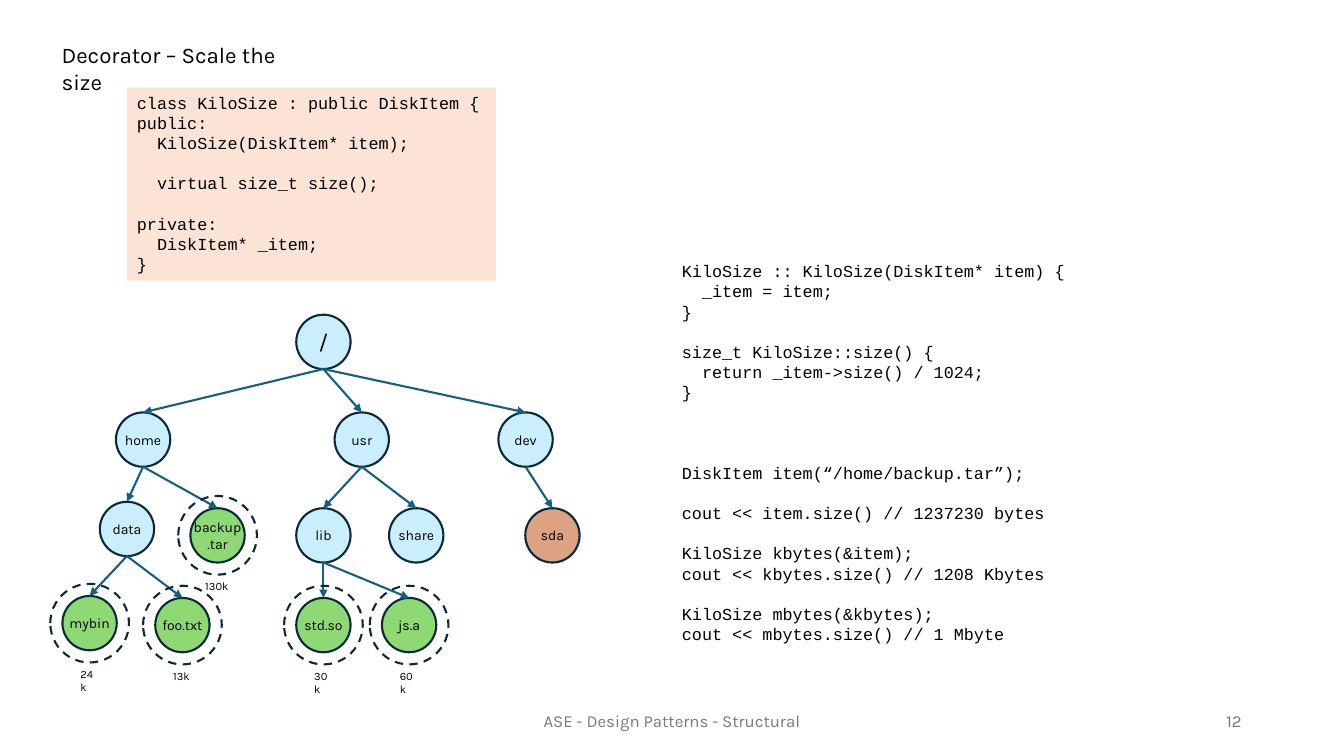
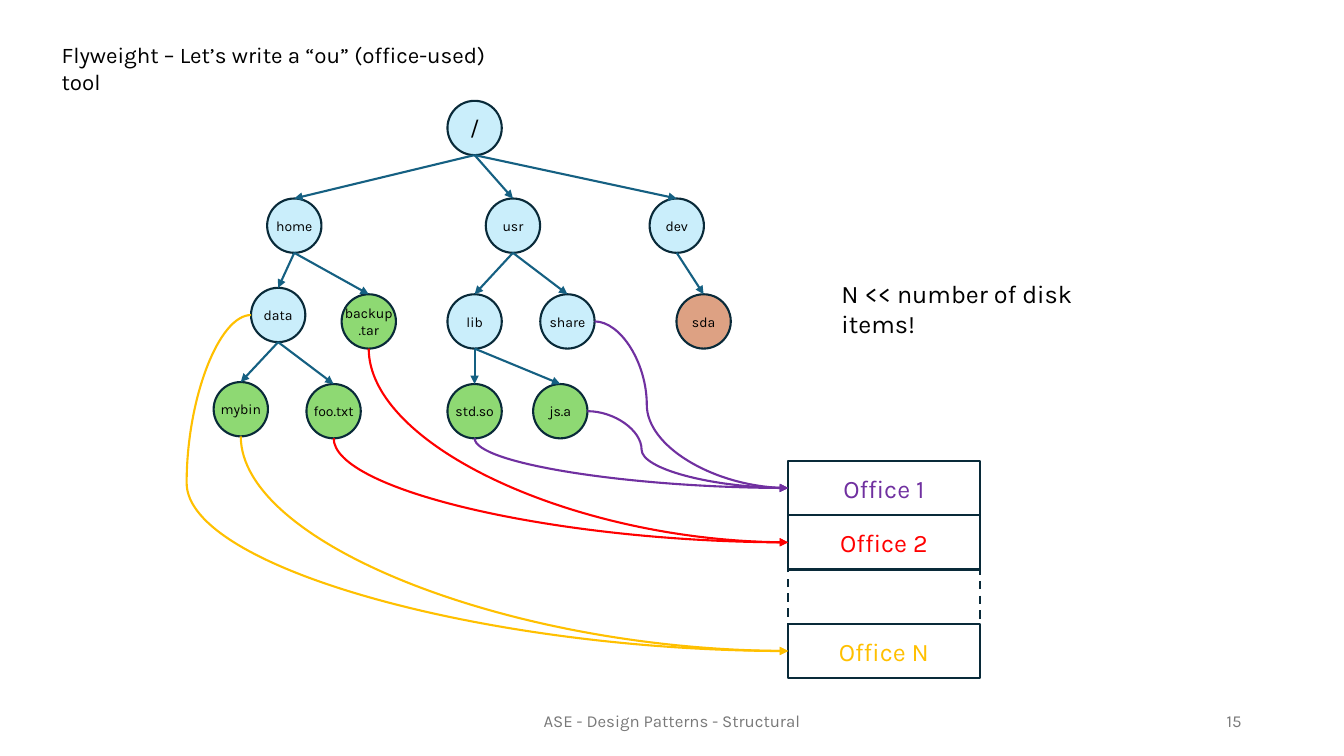
"""Build two slides on the decorator and flyweight patterns."""
import dataclasses

import lxml.etree
import pptx
import pptx.dml.color
import pptx.enum.dml
import pptx.enum.shapes
import pptx.enum.text
import pptx.oxml.ns
import pptx.util

Pt = pptx.util.Pt
Align = pptx.enum.text.PP_ALIGN
Anchor = pptx.enum.text.MSO_ANCHOR
Form = pptx.enum.shapes.MSO_SHAPE
Wire = pptx.enum.shapes.MSO_CONNECTOR
qn = pptx.oxml.ns.qn


@dataclasses.dataclass(frozen=True)
class Theme:
    """Colours, fonts and sizes that the slides share."""
    ink: str = "000000"
    edge: str = "092A39"
    arrow: str = "156082"
    grey: str = "797979"
    peach: str = "FBE3D6"
    folder: str = "CAEEFB"
    file: str = "8ED973"
    device: str = "C04F15"
    purple: str = "7030A0"
    red: str = "FF0000"
    gold: str = "FFC000"
    sans: str = "Karla"
    mono: str = "Courier New"
    head: float = 16
    large: float = 18
    code: float = 12
    foot: float = 12
    node: float = 10
    note: float = 8
    line: float = 1.5
    lead: float = 14.4


LOOK = Theme()
NODE = 38.8
RING = 56.2
SIDES = {"top": (0, 0.5, 0), "left": (1, 0, 0.5),
         "bottom": (2, 0.5, 1), "right": (3, 1, 0.5)}
TREE = {
    "/": (167, 0, None, "folder"),
    "home": (38.2, 69.8, "/", "folder"),
    "usr": (194.4, 69.8, "/", "folder"),
    "dev": (311.4, 69.8, "/", "folder"),
    "data": (26.7, 133.6, "home", "folder"),
    "backup\n.tar": (91.4, 138.2, "home", "file"),
    "mybin": (0, 200.9, "data", "file"),
    "foo.txt": (66.3, 202.3, "data", "file"),
    "lib": (167, 138.2, "usr", "folder"),
    "share": (233.3, 138.2, "usr", "folder"),
    "std.so": (167, 202.3, "lib", "file"),
    "js.a": (228.2, 202.3, "lib", "file"),
    "sda": (330.6, 138.2, "dev", "device"),
}
LOADS = {"backup\n.tar": "130k", "mybin": "24k", "foo.txt": "13k",
         "std.so": "30k", "js.a": "60k"}
CLASS = """class KiloSize : public DiskItem {
public:
  KiloSize(DiskItem* item);

  virtual size_t size();

private:
  DiskItem* _item;
}"""
USAGE = """KiloSize :: KiloSize(DiskItem* item) {
  _item = item;
}

size_t KiloSize::size() {
  return _item->size() / 1024;
}



DiskItem item(“/home/backup.tar”);

cout << item.size() // 1237230 bytes

KiloSize kbytes(&item);
cout << kbytes.size() // 1208 Kbytes

KiloSize mbytes(&kbytes);
cout << mbytes.size() // 1 Mbyte"""


def rgb(tint):
    """Return the colour of a hex string."""
    return pptx.dml.color.RGBColor.from_string(tint)


def style(frame, size, tint=LOOK.ink, face=LOOK.sans, align=Align.LEFT):
    """Format every run of a text frame."""
    for para in frame.paragraphs:
        para.alignment = align
        for run in para.runs:
            run.font.size = Pt(size)
            run.font.name = face
            run.font.color.rgb = rgb(tint)


def words(slide, box, text, size, tint=LOOK.ink, align=Align.LEFT,
          anchor=Anchor.TOP):
    """Place a wrapped text box."""
    frame = slide.shapes.add_textbox(*map(Pt, box)).text_frame
    frame.word_wrap = True
    frame.vertical_anchor = anchor
    frame.text = text
    style(frame, size, tint, align=align)


def shape(slide, form, box, fill=None, edge=LOOK.edge, dash=False):
    """Place a flat shape with an optional fill and outline."""
    item = slide.shapes.add_shape(form, *map(Pt, box))
    item.shadow.inherit = False
    if fill:
        item.fill.solid()
        item.fill.fore_color.rgb = rgb(fill)
    else:
        item.fill.background()
    if edge:
        item.line.color.rgb = rgb(edge)
        item.line.width = Pt(LOOK.line)
        if dash:
            item.line.dash_style = pptx.enum.dml.MSO_LINE.DASH
    else:
        item.line.fill.background()
    return item


def code(slide, box, text, fill=None):
    """Place a code listing with indents and gaps taken from its lines."""
    frame = shape(slide, Form.RECTANGLE, box, fill, None).text_frame
    frame.word_wrap = True
    frame.vertical_anchor = Anchor.TOP
    lines = text.split("\n")
    full = [row for row, line in enumerate(lines) if line]
    frame.text = "\n".join(lines[row].strip() for row in full)
    style(frame, LOOK.code, face=LOOK.mono)
    last = -1
    for para, row in zip(frame.paragraphs, full):
        depth = len(lines[row]) - len(lines[row].lstrip())
        para.line_spacing = Pt(LOOK.lead)
        para.space_before = Pt(LOOK.lead * (row - last - 1))
        para._p.get_or_add_pPr().set("marL", str(Pt(depth * LOOK.code * 0.6)))
        last = row


def site(item, side):
    """Return the index and point of a connection site."""
    index, across, down = SIDES[side]
    if item.auto_shape_type == Form.OVAL:
        index *= 2
    return (index, int(item.left + item.width * across),
            int(item.top + item.height * down))


def link(slide, start, exit, end, entry, tint, bend=0):
    """Join two shapes with a straight or curved arrow."""
    first, x1, y1 = site(start, exit)
    last, x2, y2 = site(end, entry)
    kind = Wire.STRAIGHT if entry == "top" else Wire.CURVE
    wire = slide.shapes.add_connector(kind, x1, y1, x2, y2)
    wire.line.color.rgb = rgb(tint)
    wire.line.width = Pt(LOOK.line)
    part = wire.element.spPr
    lxml.etree.SubElement(wire.get_or_add_ln(), qn("a:tailEnd"), type="triangle")
    lxml.etree.SubElement(part, qn("a:effectLst"))
    joint = next(wire.element.iter(qn("p:cNvCxnSpPr")))
    for tag, item, index in (("a:stCxn", start, first), ("a:endCxn", end, last)):
        lxml.etree.SubElement(joint, qn(tag), id=str(item.shape_id),
                              idx=str(index))
    if kind == Wire.CURVE:
        curve(wire, exit, x2 - x1, y2 - y1, bend)


def curve(wire, exit, wide, high, bend):
    """Turn a curved arrow so that it leaves by the given side."""
    part = wire.element.spPr
    frame = part.find(qn("a:xfrm"))
    preset = part.find(qn("a:prstGeom"))
    if exit == "bottom":
        preset.set("prst", "curvedConnector2")
        wire.left += (wide - high) // 2
        wire.top += (high - wide) // 2
        wire.width, wire.height = high, wide
        frame.set("rot", "16200000")
        frame.set("flipH", "1")
        return
    if exit == "left":
        frame.set("rot", "10800000")
        frame.set("flipH", "1")
        frame.set("flipV", "1")
    lxml.etree.SubElement(preset.find(qn("a:avLst")), qn("a:gd"), name="adj1",
                          fmla=f"val {round(bend * 100000)}")


def tree(slide, left, top):
    """Draw the disk tree and return its nodes by name."""
    nodes = {}
    for name, (x, y, _, kind) in TREE.items():
        node = shape(slide, Form.OVAL, (left + x, top + y, NODE, NODE),
                     getattr(LOOK, kind))
        if kind == "device":
            tone = next(node.element.spPr.iter(qn("a:srgbClr")))
            lxml.etree.SubElement(tone, qn("a:alpha"), val="53000")
        frame = node.text_frame
        frame.word_wrap = False
        frame.vertical_anchor = Anchor.MIDDLE
        frame.text = name
        style(frame, LOOK.head if name == "/" else LOOK.node,
              align=Align.CENTER)
        nodes[name] = node
    for name, (_, _, above, _) in TREE.items():
        if above:
            link(slide, nodes[above], "bottom", nodes[name], "top", LOOK.arrow)
    return nodes


def rings(slide, left, top):
    """Wrap the files of a tree in dashed rings with their sizes."""
    for name, load in LOADS.items():
        x, y = TREE[name][:2]
        mid, core = left + x + NODE / 2, top + y + NODE / 2
        shape(slide, Form.OVAL, (mid - RING / 2, core - RING / 2, RING, RING),
              dash=True)
        wide = 31.7 if len(load) > 3 else 27.4
        words(slide, (mid - wide / 2, core + RING / 2, wide, 17), load,
              LOOK.note)


def stack(slide, left, top, wide, high):
    """Draw the stack of offices and return its cells by text."""
    cells = {}
    rows = (("Office 1", LOOK.purple), ("Office 2", LOOK.red),
            ("", LOOK.ink), ("Office N", LOOK.gold))
    for row, (text, tint) in enumerate(rows):
        cell = shape(slide, Form.RECTANGLE,
                     (left, top + row * high, wide, high), dash=not text)
        if text:
            frame = cell.text_frame
            frame.vertical_anchor = Anchor.MIDDLE
            frame.text = text
            style(frame, LOOK.large, tint, align=Align.CENTER)
            cells[text] = cell
    return cells


def base(deck, title, wide, page):
    """Add a blank slide with its title and footer."""
    slide = deck.slides.add_slide(deck.slide_layouts[6])
    words(slide, (318, 500.5, 324, 28.75), "ASE - Design Patterns - Structural",
          LOOK.foot, LOOK.grey, Align.CENTER, Anchor.MIDDLE)
    words(slide, (678, 500.5, 216, 28.75), page, LOOK.foot, LOOK.grey,
          Align.RIGHT, Anchor.MIDDLE)
    words(slide, (36.9, 26, wide, 26.6), title, LOOK.head)
    return slide


def scale(deck):
    """Build the decorator slide."""
    slide = base(deck, "Decorator – Scale the size", 196.6, "12")
    code(slide, (90.7, 62.6, 263.5, 138), CLASS, LOOK.peach)
    code(slide, (480, 182.9, 293, 283.7), USAGE)
    spot = (44.6, 224.8)
    tree(slide, *spot)
    rings(slide, *spot)


def share(deck):
    """Build the flyweight slide."""
    slide = base(deck, "Flyweight – Let’s write a “ou” (office-used) tool",
                 334, "15")
    nodes = tree(slide, 152.6, 72)
    cells = stack(slide, 562.9, 329.2, 137, 38.8)
    for name, exit, goal, tint, bend in (
            ("backup\n.tar", "bottom", "Office 2", LOOK.red, 0),
            ("data", "left", "Office N", LOOK.gold, -0.12),
            ("mybin", "bottom", "Office N", LOOK.gold, 0),
            ("foo.txt", "bottom", "Office 2", LOOK.red, 0),
            ("std.so", "bottom", "Office 1", LOOK.purple, 0),
            ("js.a", "right", "Office 1", LOOK.purple, 0.27),
            ("share", "right", "Office 1", LOOK.purple, 0.27)):
        link(slide, nodes[name], exit, cells[goal], "left", tint, bend)
    words(slide, (594, 195.1, 224, 29), "N << number of disk items!", LOOK.large)


def main():
    """Build and save the deck."""
    deck = pptx.Presentation()
    deck.slide_width, deck.slide_height = Pt(960), Pt(540)
    scale(deck)
    share(deck)
    deck.save("out.pptx")


if __name__ == "__main__":
    main()
